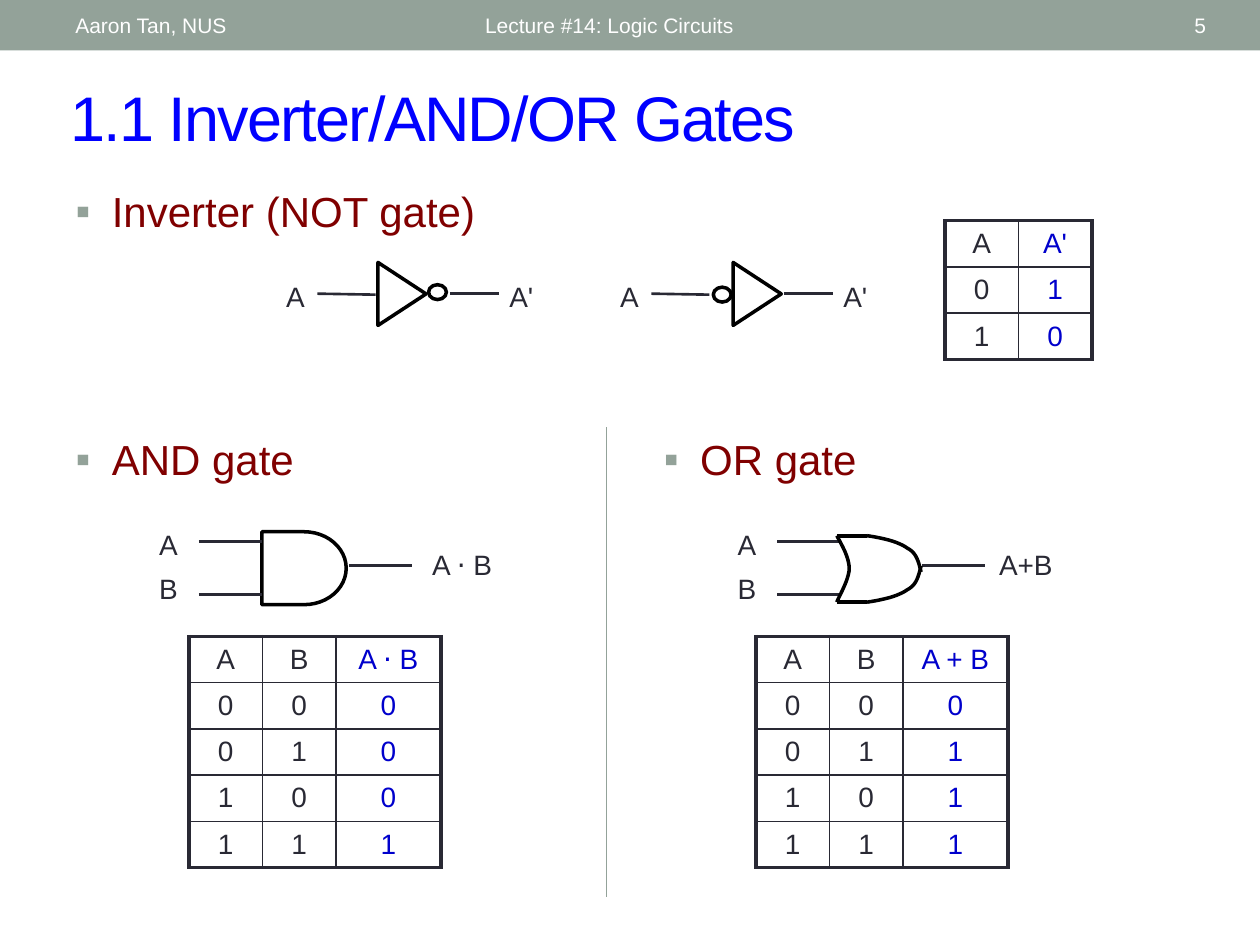
from lxml.etree import SubElement
from pptx import Presentation
from pptx.dml.color import RGBColor
from pptx.enum.shapes import MSO_CONNECTOR, MSO_SHAPE as SHAPE
from pptx.enum.text import MSO_ANCHOR as ANCHOR, MSO_AUTO_SIZE, PP_ALIGN as ALIGN
from pptx.oxml.ns import qn
from pptx.util import Cm, Pt

SAGE = RGBColor(0x93, 0xA2, 0x99)
WHITE = RGBColor(0xFF, 0xFF, 0xFF)
BLACK = RGBColor(0, 0, 0)
INK = RGBColor(0x29, 0x29, 0x34)
BLUE = RGBColor(0, 0, 0xFF)
OUTPUT_BLUE = RGBColor(0, 0, 0xCC)
MAROON = RGBColor(0x80, 0, 0)

FONT = "Arial"
THICK, THIN = 2.25, 1
COMPARISON_LAYOUT = 4
ROW_HEIGHT = 0.93
INPUT_WIDTH, OUTPUT_WIDTH = 1.48, 2.12


def cm(*lengths):
    return [Cm(length) for length in lengths]


def bezier(points, steps=12):
    """Sample a chain of cubic curves given as start, then control, control, end."""
    samples = [points[0]]
    for first in range(0, len(points) - 1, 3):
        for step in range(1, steps + 1):
            t = step / steps
            weights = ((1 - t) ** 3, 3 * t * (1 - t) ** 2, 3 * t * t * (1 - t), t ** 3)
            samples.append(tuple(
                sum(weight * point[axis]
                    for weight, point in zip(weights, points[first:first + 4]))
                for axis in (0, 1)))
    return samples


class SlideBuilder:
    def __init__(self, slide):
        self.slide = slide
        self.shapes = slide.shapes

    def start_group(self):
        self.shapes = self.slide.shapes.add_group_shape().shapes

    def end_group(self):
        self.shapes = self.slide.shapes

    def format(self, paragraph, size, color):
        for run in paragraph.runs:
            run.font.name = FONT
            run.font.size = Pt(size)
            run.font.bold = False
            run.font.color.rgb = color

    def place(self, placeholder, text, box, size, color, anchor):
        """Fill and move a placeholder; return its paragraph."""
        placeholder.left, placeholder.top, placeholder.width, placeholder.height = cm(*box)
        frame = placeholder.text_frame
        frame.text = text
        frame.auto_size = MSO_AUTO_SIZE.NONE
        frame.vertical_anchor = anchor
        paragraph = frame.paragraphs[0]
        paragraph.alignment = ALIGN.LEFT
        self.format(paragraph, size, color)
        return paragraph

    def title(self, text, box):
        paragraph = self.place(self.slide.shapes.title, text, box, 36, BLUE, ANCHOR.MIDDLE)
        paragraph.runs[0].font._element.set("spc", "-100")

    def bullet(self, placeholder, text, box):
        paragraph = self.place(placeholder, text, box, 24, MAROON, ANCHOR.TOP)
        properties = paragraph._p.get_or_add_pPr()
        properties.set("marL", str(Cm(0.73)))
        properties.set("indent", str(-Cm(0.73)))
        color = SubElement(properties, qn("a:buClr"))
        SubElement(color, qn("a:srgbClr"), val=str(SAGE))
        SubElement(properties, qn("a:buFont"), typeface=FONT)
        SubElement(properties, qn("a:buChar"), char="▪")

    def text(self, text, box, size=16, color=INK, align=ALIGN.LEFT,
             anchor=ANCHOR.TOP, space_before=0):
        frame = self.shapes.add_textbox(*cm(*box)).text_frame
        frame.word_wrap = True
        frame.vertical_anchor = anchor
        frame.text = text
        for paragraph in frame.paragraphs:
            paragraph.alignment = align
            paragraph.space_before = Pt(space_before)
            self.format(paragraph, size, color)

    def outline(self, shape):
        shape.shadow.inherit = False
        shape.fill.background()
        shape.line.color.rgb = BLACK
        shape.line.width = Pt(2)

    def gate_shape(self, kind, box, rotation=0):
        shape = self.shapes.add_shape(kind, *cm(*box))
        shape.rotation = rotation
        self.outline(shape)

    def curve(self, points):
        start, *others = [cm(*point) for point in bezier(points)]
        builder = self.shapes.build_freeform(*start)
        builder.add_line_segments(others, close=False)
        self.outline(builder.convert_to_shape())

    def bar(self, box, color):
        shape = self.shapes.add_shape(SHAPE.RECTANGLE, *cm(*box))
        shape.shadow.inherit = False
        shape.fill.solid()
        shape.fill.fore_color.rgb = color
        shape.line.fill.background()

    def line(self, start, end, color=INK, width=1.5):
        connector = self.shapes.add_connector(MSO_CONNECTOR.STRAIGHT, *cm(*start, *end))
        connector.line.color.rgb = color
        connector.line.width = Pt(width)
        SubElement(connector._element.spPr, qn("a:effectLst"))

    def borders(self, cell, widths):
        properties = cell._tc.get_or_add_tcPr()
        for index, (side, width) in enumerate(zip("LRTB", widths)):
            border = properties.makeelement(qn(f"a:ln{side}"), {"w": str(Pt(width))})
            fill = SubElement(border, qn("a:solidFill"))
            SubElement(fill, qn("a:srgbClr"), val=str(INK))
            properties.insert(index, border)

    def truth_table(self, left, top, rows):
        """Draw rows of values, the last column being the output."""
        widths = [INPUT_WIDTH] * (len(rows[0]) - 1) + [OUTPUT_WIDTH if len(rows[0]) > 2 else INPUT_WIDTH]
        box = (left, top, sum(widths), ROW_HEIGHT * len(rows))
        table = self.slide.shapes.add_table(len(rows), len(widths), *cm(*box)).table
        table.first_row = table.horz_banding = False
        for column, width in zip(table.columns, widths):
            column.width = Cm(width)
        last_row, last_column = len(rows) - 1, len(widths) - 1
        for r, values in enumerate(rows):
            table.rows[r].height = Cm(ROW_HEIGHT)
            for c, value in enumerate(values):
                cell = table.cell(r, c)
                cell.text = value
                cell.vertical_anchor = ANCHOR.MIDDLE
                cell.fill.background()
                paragraph = cell.text_frame.paragraphs[0]
                paragraph.alignment = ALIGN.CENTER
                self.format(paragraph, 16, OUTPUT_BLUE if c == last_column else INK)
                edges = (c == 0, c == last_column, r == 0, r == last_row)
                self.borders(cell, [THICK if edge else THIN for edge in edges])

    def inverter(self, left, triangle, bubble, bubble_top):
        """Draw an inverter whose input wire starts at left; parts are offsets from it."""
        self.gate_shape(SHAPE.FLOWCHART_MERGE, (left + triangle, 5.44, 1.27, 0.97), 270)
        self.gate_shape(SHAPE.OVAL, (left + bubble, bubble_top, 0.36, 0.3))
        self.line((left, 5.92), (left + 1.17, 5.94))
        self.line((left + 2.67, 5.92), (left + 3.66, 5.92))
        self.text("A", (left - 0.88, 5.51, 0.84, 0.94), align=ALIGN.RIGHT, space_before=5.5)
        self.text("A'", (left + 3.62, 5.51, 1.07, 0.94), space_before=9)

    def gate_wiring(self, left, output_left, label, label_left):
        for y in (10.92, 11.99):
            self.line((left, y), (left + 1.27, y))
        self.line((output_left, 11.4), (output_left + 1.27, 11.4))
        self.text("A\nB", (left - 1.05, 10.52, 0.84, 1.83), align=ALIGN.RIGHT, space_before=5.5)
        self.text(label, (label_left, 10.92, 2.11, 0.94), space_before=9)

    def or_outline(self):
        top, bottom, back, corner = 10.8, 12.14, 16.87, 17.48
        self.curve([(back, top), (16.99, 11.02), (17.12, 11.25), (17.12, 11.46),
                    (17.12, 11.68), (16.92, 12.01), (back, bottom)])
        upper = [(corner, top), (17.81, 10.85), (18.11, 10.92), (18.29, 11.05),
                 (18.49, 11.15), (18.52, 11.35), (18.57, 11.53)]
        self.curve(upper)
        self.curve([(x, top + bottom - y) for x, y in upper])
        for y in (top, bottom):
            self.line((back, y), (corner, y), BLACK, 2)


def main():
    presentation = Presentation()
    presentation.slide_width, presentation.slide_height = cm(25.4, 19.05)
    slide = presentation.slides.add_slide(presentation.slide_layouts[COMPARISON_LAYOUT])
    builder = SlideBuilder(slide)

    builder.bar((0, 0, 25.4, 1.02), SAGE)
    for text, left, width, align in (
            ("Aaron Tan, NUS", 1.27, 8.05, ALIGN.LEFT),
            ("Lecture #14: Logic Circuits", 9.53, 11.43, ALIGN.LEFT),
            ("5", 22.15, 2.41, ALIGN.RIGHT)):
        builder.text(text, (left, 0.05, width, 0.91), 12, WHITE, align, ANCHOR.MIDDLE)

    builder.title("1.1 Inverter/AND/OR Gates", (1.17, 1.45, 23.04, 1.78))
    _, inverter, and_gate, or_gate, spare = list(slide.placeholders)
    builder.bullet(inverter, "Inverter (NOT gate)", (1.27, 3.61, 11.23, 1.27))
    builder.bullet(and_gate, "AND gate", (1.27, 8.61, 7.82, 1.27))
    builder.bullet(or_gate, "OR gate", (13.13, 8.61, 7.82, 1.27))
    spare._element.getparent().remove(spare._element)

    builder.start_group()
    builder.inverter(6.4, triangle=1.07, bubble=2.24, bubble_top=5.74)
    builder.inverter(13.13, triangle=1.5, bubble=1.25, bubble_top=5.79)
    builder.start_group()
    builder.gate_shape(SHAPE.FLOWCHART_DELAY, (5.28, 10.72, 1.7, 1.47))
    builder.gate_wiring(4.01, 7.04, "A ⋅ B", 8.46)
    builder.start_group()
    builder.gate_wiring(15.67, 18.59, "A+B", 19.89)
    builder.or_outline()
    builder.end_group()

    inputs = ("00", "01", "10", "11")
    builder.truth_table(19.05, 4.45, ["A", "A'"] and [("A", "A'"), "01", "10"])
    for left, label, outputs in ((3.81, "A ⋅ B", "0001"), (15.24, "A + B", "0111")):
        rows = [(*pair, output) for pair, output in zip(inputs, outputs)]
        builder.truth_table(left, 12.83, [("A", "B", label), *rows])
    builder.line((12.22, 8.61), (12.22, 18.08), SAGE, 0.75)

    presentation.save("out.pptx")


if __name__ == "__main__":
    main()
